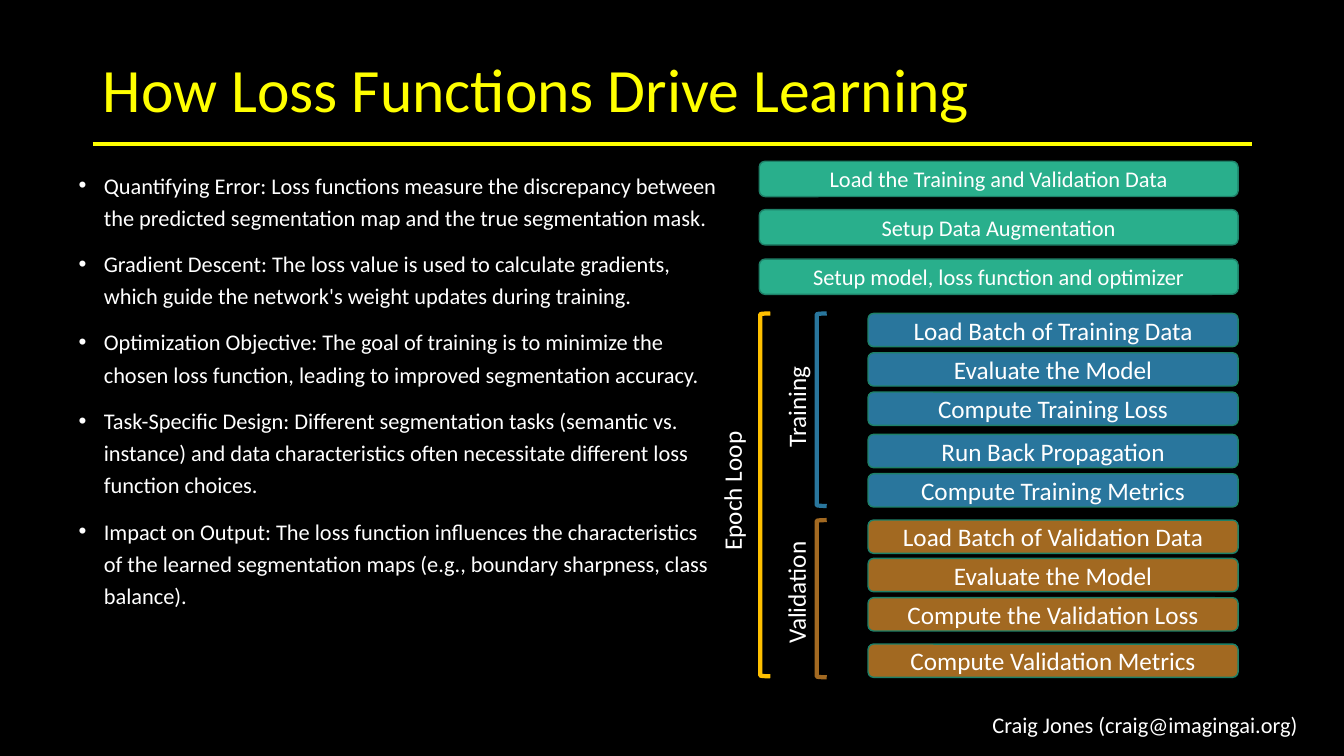
import pptx
import pptx.util
import pptx.dml.color
import pptx.enum.shapes
import pptx.enum.text
import pptx.oxml.ns
from lxml import etree

Inches, Pt = pptx.util.Inches, pptx.util.Pt
ALIGN = pptx.enum.text.PP_ALIGN
ANCHOR = pptx.enum.text.MSO_ANCHOR
PRESET = pptx.enum.shapes.MSO_SHAPE

WHITE, YELLOW, GOLD = "FFFFFF", "FFFF00", "FFC000"
GREEN, BLUE, BROWN, EDGE = "29AF8C", "29769D", "A26921", "1E8168"

HEADING = "How Loss Functions Drive Learning"
CREDIT = "Craig Jones (craig@imagingai.org)"
POINTS = [
    "Quantifying Error: Loss functions measure the discrepancy between the predicted segmentation map and the true segmentation mask.",
    "Gradient Descent: The loss value is used to calculate gradients, which guide the network's weight updates during training.",
    "Optimization Objective: The goal of training is to minimize the chosen loss function, leading to improved segmentation accuracy.",
    "Task-Specific Design: Different segmentation tasks (semantic vs. instance) and data characteristics often necessitate different loss function choices.",
    "Impact on Output: The loss function influences the characteristics of the learned segmentation maps (e.g., boundary sharpness, class balance).",
]
STAGES = [
    dict(color=GREEN, left=7.53, width=4.75, height=0.35, size=16, steps=[
        (1.6, "Load the Training and Validation Data"),
        (2.08, "Setup Data Augmentation"),
        (2.57, "Setup model, loss function and optimizer"),
    ]),
    dict(color=BLUE, left=8.61, width=3.67, height=0.33, size=18, steps=[
        (3.11, "Load Batch of Training Data"),
        (3.5, "Evaluate the Model"),
        (3.89, "Compute Training Loss"),
        (4.31, "Run Back Propagation"),
        (4.7, "Compute Training Metrics"),
    ]),
    dict(color=BROWN, left=8.61, width=3.67, height=0.33, size=18, steps=[
        (5.16, "Load Batch of Validation Data"),
        (5.54, "Evaluate the Model"),
        (5.93, "Compute the Validation Loss"),
        (6.39, "Compute Validation Metrics"),
    ]),
]
LOOPS = [
    ("Epoch Loop", GOLD, 7.54, 3.11, 3.6, (6.56, 4.66, 1.4, 0.4)),
    ("Training", BLUE, 8.1, 3.11, 1.91, (7.39, 3.83, 1.01, 0.4)),
    ("Validation", BROWN, 8.1, 5.16, 1.56, (7.28, 5.67, 1.23, 0.4)),
]


def rgb(color):
    return pptx.dml.color.RGBColor.from_string(color)


def box(*lengths):
    return [Inches(length) for length in lengths]


def place(holder, *lengths):
    holder.left, holder.top, holder.width, holder.height = box(*lengths)


def write(holder, text, size=18, color=WHITE, align=ALIGN.LEFT, anchor=ANCHOR.TOP,
          wrap=True, spacing=1.0, before=0, hang=0):
    frame = holder.text_frame
    frame.word_wrap = wrap
    frame.auto_size = pptx.enum.text.MSO_AUTO_SIZE.NONE
    frame.vertical_anchor = anchor
    lines = [text] if isinstance(text, str) else text
    for index, line in enumerate(lines):
        paragraph = frame.add_paragraph() if index else frame.paragraphs[0]
        paragraph.alignment = align
        paragraph.line_spacing = spacing
        paragraph.space_before = Pt(before if index else 0)
        paragraph.space_after = Pt(0)
        if hang:
            properties = paragraph._p.get_or_add_pPr()
            properties.set("marL", str(Inches(hang)))
            properties.set("indent", str(-Inches(hang)))
            bullet = etree.SubElement(properties, pptx.oxml.ns.qn("a:buChar"))
            bullet.set("char", "•")
        run = paragraph.add_run()
        run.text = line
        run.font.name = "Calibri"
        run.font.size = Pt(size)
        run.font.color.rgb = rgb(color)


def draw(preset, lengths, edge, weight, fill=None):
    shape = slide.shapes.add_shape(preset, *box(*lengths))
    shape.shadow.inherit = False
    if fill:
        shape.fill.solid()
        shape.fill.fore_color.rgb = rgb(fill)
    else:
        shape.fill.background()
    shape.line.color.rgb = rgb(edge)
    shape.line.width = Pt(weight)
    return shape


deck = pptx.Presentation()
deck.slide_width, deck.slide_height = box(13.33, 7.5)
slide = deck.slides.add_slide(deck.slide_layouts[1])
slide.background.fill.solid()
slide.background.fill.fore_color.rgb = rgb("000000")

credit = slide.shapes.add_textbox(*box(9.51, 7.01, 3.46, 0.37))
write(credit, CREDIT, size=16, align=ALIGN.RIGHT)

rule = slide.shapes.add_connector(
    pptx.enum.shapes.MSO_CONNECTOR.STRAIGHT, *box(0.92, 1.43, 12.42, 1.43))
rule.line.color.rgb = rgb(YELLOW)
rule.line.width = Pt(3)
etree.SubElement(rule._element.spPr, pptx.oxml.ns.qn("a:effectLst"))

heading = slide.shapes.title
place(heading, 0.92, 0.4, 11.5, 1.03)
write(heading, HEADING, size=44, color=YELLOW, anchor=ANCHOR.MIDDLE, spacing=0.9)

points = slide.placeholders[1]
place(points, 0.68, 1.6, 6.54, 5.15)
write(points, POINTS, size=16, spacing=1.2, before=10, hang=0.25)

for stage in STAGES:
    for top, label in stage["steps"]:
        step = draw(PRESET.ROUNDED_RECTANGLE,
                    (stage["left"], top, stage["width"], stage["height"]),
                    EDGE, 1, fill=stage["color"])
        write(step, label, size=stage["size"], align=ALIGN.CENTER, anchor=ANCHOR.MIDDLE)

for label, color, left, top, height, label_box in LOOPS:
    draw(PRESET.LEFT_BRACKET, (left, top, 0.1, height), color, 3)
    loop_label = slide.shapes.add_textbox(*box(*label_box))
    loop_label.rotation = 270
    write(loop_label, label, wrap=False)

deck.save("out.pptx")
